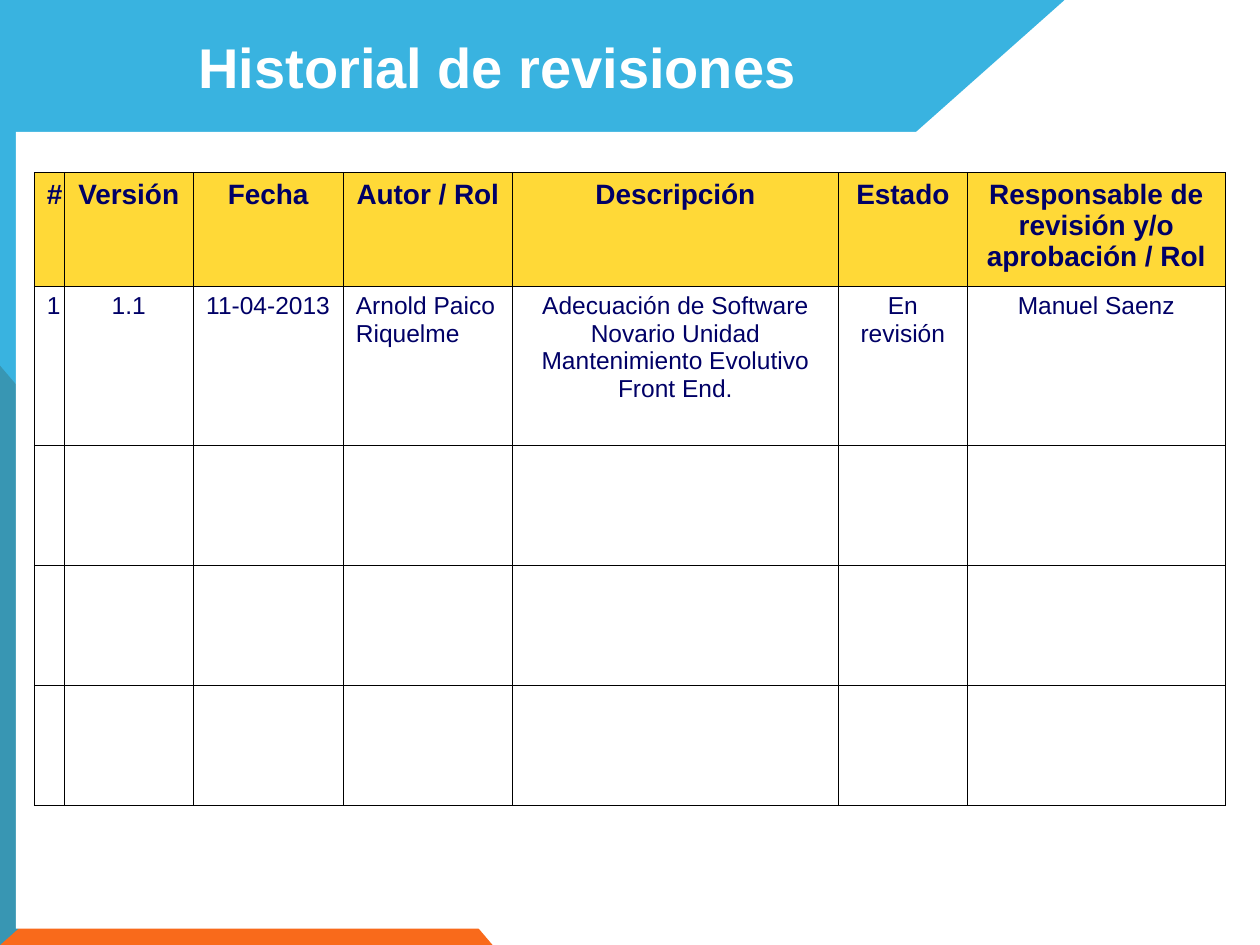
from lxml.etree import SubElement
from pptx import Presentation
from pptx.dml.color import RGBColor
from pptx.enum.shapes import MSO_SHAPE
from pptx.enum.text import PP_ALIGN
from pptx.oxml.ns import qn
from pptx.util import Cm, Pt

COLORS = {
    "orange": "F96A1B",
    "blue": "08A1D9",
    "white": "FFFFFF",
    "yellow": "FFD937",
    "navy": "000066",
    "black": "000000",
}


def write_text(frame, text, size=14, color="navy", bold=False, align=PP_ALIGN.CENTER):
    paragraph = frame.paragraphs[0]
    paragraph.alignment = align
    run = paragraph.add_run()
    run.text = text
    run.font.name = "Arial"
    run.font.size = Pt(size)
    run.font.bold = bold
    run.font.color.rgb = RGBColor.from_string(COLORS[color])


def draw_border(cell, side, width):
    line = SubElement(cell._tc.get_or_add_tcPr(), qn(f"a:ln{side}"), w=str(Pt(width)))
    fill = SubElement(line, qn("a:solidFill"))
    SubElement(fill, qn("a:srgbClr"), val=COLORS["black"])


presentation = Presentation()
presentation.slide_width = Cm(25.4)
presentation.slide_height = Cm(19.05)
slide = presentation.slides.add_slide(presentation.slide_layouts[6])

backdrop = [
    (MSO_SHAPE.RIGHT_TRIANGLE, 0, 7.37, 9.93, 11.68, 0, "orange", 100),
    (MSO_SHAPE.RIGHT_TRIANGLE, 1.2, -1.2, 19.05, 21.46, 90, "blue", 80),
    (MSO_SHAPE.RECTANGLE, 0.32, 2.66, 24.77, 16.06, 0, "white", 100),
]
for preset, left, top, width, height, rotation, color, opacity in backdrop:
    panel = slide.shapes.add_shape(preset, Cm(left), Cm(top), Cm(width), Cm(height))
    panel.rotation = rotation
    panel.shadow.inherit = False
    panel.line.fill.background()
    panel.fill.solid()
    panel.fill.fore_color.rgb = RGBColor.from_string(COLORS[color])
    if opacity < 100:
        tint = panel._element.spPr.find(qn("a:solidFill"))[0]
        SubElement(tint, qn("a:alpha"), val=str(opacity * 1000))

title = slide.shapes.add_textbox(Cm(3.75), Cm(0.53), Cm(12.57), Cm(1.63))
title.text_frame.word_wrap = False
write_text(title.text_frame, "Historial de revisiones", size=32, color="white",
           bold=True, align=PP_ALIGN.LEFT)

headings = ["#", "Versión", "Fecha", "Autor / Rol", "Descripción", "Estado",
            "Responsable de revisión y/o aprobación / Rol"]
first_revision = ["1", "1.1", "11-04-2013", "Arnold Paico Riquelme",
                  "Adecuación de Software Novario Unidad Mantenimiento Evolutivo Front End.",
                  "En revisión", "Manuel Saenz"]
column_widths = [0.61, 2.59, 3.03, 3.41, 6.57, 2.6, 5.2]
row_heights = [2.29, 3.21, 2.42, 2.42, 2.42]

history = slide.shapes.add_table(
    len(row_heights), len(column_widths), Cm(0.69), Cm(3.48),
    Cm(sum(column_widths)), Cm(sum(row_heights))).table
for column, width in zip(history.columns, column_widths):
    column.width = Cm(width)
for row, height in zip(history.rows, row_heights):
    row.height = Cm(height)

for r in range(len(row_heights)):
    for c, heading in enumerate(headings):
        cell = history.cell(r, c)
        for side in "LRTB":
            draw_border(cell, side, 0.45)
        if r == 0:
            cell.fill.solid()
            cell.fill.fore_color.rgb = RGBColor.from_string(COLORS["yellow"])
            write_text(cell.text_frame, heading, size=16, bold=True)
        else:
            cell.fill.background()
        if r == 1:
            is_author = heading == "Autor / Rol"
            write_text(cell.text_frame, first_revision[c],
                       align=PP_ALIGN.LEFT if is_author else PP_ALIGN.CENTER)

presentation.save("out.pptx")
